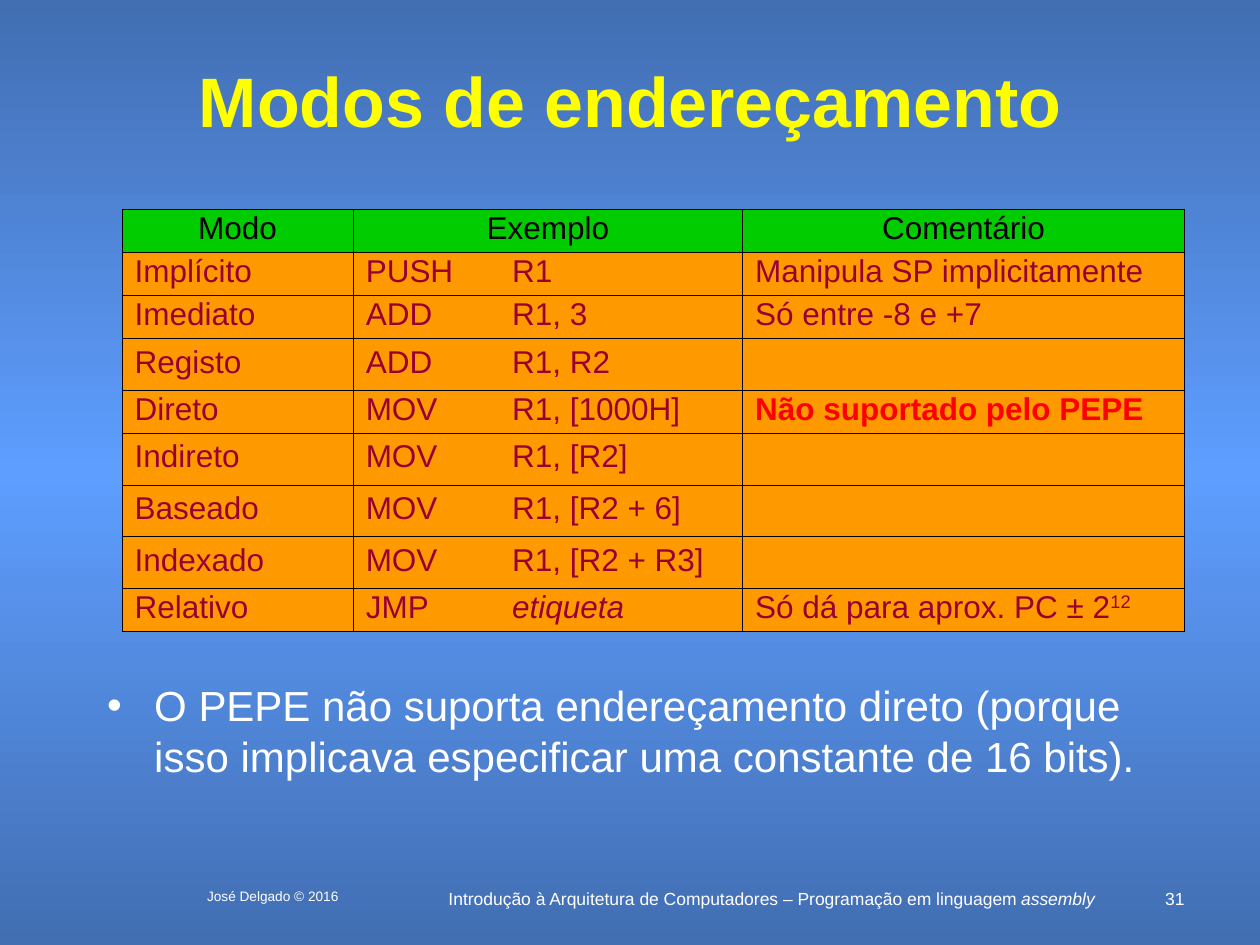
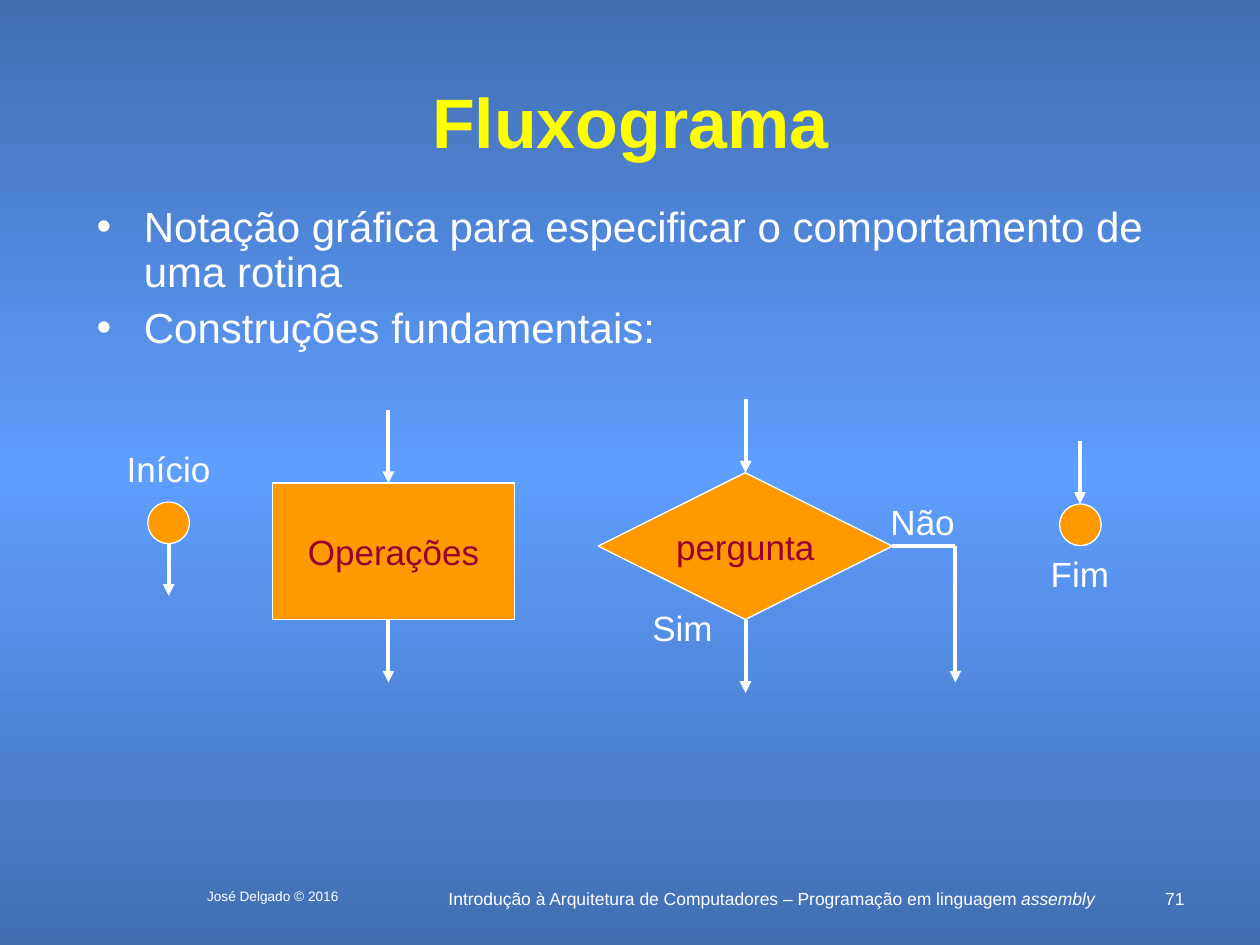
from dataclasses import dataclass
from typing import Optional

from lxml.etree import SubElement
from pptx import Presentation
from pptx.dml.color import RGBColor
from pptx.enum.shapes import MSO_CONNECTOR, MSO_SHAPE
from pptx.enum.text import MSO_ANCHOR, PP_ALIGN
from pptx.oxml.ns import qn
from pptx.slide import Slide
from pptx.util import Cm, Pt

COLORS = {
    "edge": "426EB2",
    "middle": "5E9EFF",
    "title": "FFFF00",
    "white": "FFFFFF",
    "black": "000000",
    "header": "00CC00",
    "orange": "FF9900",
    "wine": "990033",
    "alert": "FF0000",
}
FONT = "Arial"


@dataclass(frozen=True)
class Run:
    text: str
    color: str = "white"
    size: float = 20
    bold: bool = False
    italic: bool = False
    raised: bool = False


@dataclass(frozen=True)
class Box:
    left: float
    top: float
    width: float
    height: float

    def cm(self) -> tuple:
        return Cm(self.left), Cm(self.top), Cm(self.width), Cm(self.height)


@dataclass(frozen=True)
class Node:
    kind: MSO_SHAPE
    box: Box
    text: str = ""


@dataclass(frozen=True)
class Line:
    x1: float
    y1: float
    x2: float
    y2: float
    arrow: bool = True


@dataclass(frozen=True)
class Label:
    text: str
    box: Box


FOOTER_COURSE = Box(8.76, 17.78, 13.59, 0.64)
FOOTER_NUMBER = Box(23.06, 17.78, 1.07, 0.43)
FOOTER_AUTHOR = Box(3.38, 17.78, 4.24, 0.64)

TABLE_BOX = Box(2.46, 4.22, 21.42, 8.51)
COLUMN_WIDTHS = (4.66, 2.95, 4.9, 8.91)
ROW_HEIGHT, EMPTY_ROW_HEIGHT = 0.87, 1.04
HEADINGS = ("Modo", "Exemplo", "", "Comentário")
MODES = (
    ("Implícito", "PUSH", "R1", "Manipula SP implicitamente"),
    ("Imediato", "ADD", "R1, 3", "Só entre -8 e +7"),
    ("Registo", "ADD", "R1, R2", ""),
    ("Direto", "MOV", "R1, [1000H]", "Não suportado pelo PEPE"),
    ("Indireto", "MOV", "R1, [R2]", ""),
    ("Baseado", "MOV", "R1, [R2 + 6]", ""),
    ("Indexado", "MOV", "R1, [R2 + R3]", ""),
    ("Relativo", "JMP", "etiqueta", "Só dá para aprox. PC ± 2"),
)
SPECIAL_CELLS = {
    "etiqueta": [Run("etiqueta", "wine", 18, italic=True)],
    "Não suportado pelo PEPE": [Run("Não suportado pelo PEPE", "alert", 18, bold=True)],
    "Só dá para aprox. PC ± 2": [
        Run("Só dá para aprox. PC ± 2", "wine", 18),
        Run("12", "wine", 18, raised=True),
    ],
}

NODES = (
    Node(MSO_SHAPE.RECTANGLE, Box(5.5, 9.74, 4.87, 2.75), "Operações"),
    Node(MSO_SHAPE.DIAMOND, Box(12.06, 9.53, 5.93, 2.96), "pergunta"),
    Node(MSO_SHAPE.OVAL, Box(2.98, 10.12, 0.84, 0.84)),
    Node(MSO_SHAPE.OVAL, Box(21.36, 10.16, 0.84, 0.84)),
)
LINES = (
    Line(7.83, 8.26, 7.83, 9.74),
    Line(7.83, 12.49, 7.83, 13.76),
    Line(15.03, 8.04, 15.03, 9.53),
    Line(15.03, 12.49, 15.03, 13.97),
    Line(17.99, 11.01, 19.26, 11.01, arrow=False),
    Line(19.26, 11.01, 19.26, 13.76),
    Line(3.4, 10.97, 3.4, 12.01),
    Line(21.77, 8.89, 21.77, 10.16),
)
LABELS = (
    Label("Sim", Box(12.66, 12.1, 2.2, 1.12)),
    Label("Não", Box(17.5, 9.96, 2.2, 1.12)),
    Label("Início", Box(2.1, 8.89, 2.6, 1.12)),
    Label("Fim", Box(20.67, 11.01, 2.2, 1.12)),
)


def rgb(name: str) -> RGBColor:
    return RGBColor.from_string(COLORS[name])


def add_solid(parent, name: str) -> None:
    SubElement(SubElement(parent, qn("a:solidFill")), qn("a:srgbClr"), val=COLORS[name])


def add_runs(p, runs: list[Run]) -> None:
    for run in runs:
        r = p.add_run()
        r.text = run.text
        r.font.name = FONT
        r.font.size = Pt(run.size)
        r.font.bold = run.bold
        r.font.italic = run.italic
        r.font.color.rgb = rgb(run.color)
        if run.raised:
            r.font._element.set("baseline", "30000")


def add_text(s: Slide, box: Box, runs: list[Run], align: PP_ALIGN = PP_ALIGN.CENTER,
             anchor: MSO_ANCHOR = MSO_ANCHOR.TOP, wrap: bool = True) -> None:
    tf = s.shapes.add_textbox(*box.cm()).text_frame
    tf.word_wrap = wrap
    tf.vertical_anchor = anchor
    tf.paragraphs[0].alignment = align
    add_runs(tf.paragraphs[0], runs)


def add_bullets(s: Slide, box: Box, items: list[str], spacing: Optional[float] = None) -> None:
    tf = s.shapes.add_textbox(*box.cm()).text_frame
    tf.word_wrap = True
    for i, item in enumerate(items):
        p = tf.add_paragraph() if i else tf.paragraphs[0]
        p.line_spacing = spacing
        if i:
            p.space_before = Pt(6)
        pPr = p._p.get_or_add_pPr()
        pPr.set("marL", str(Cm(0.95)))
        pPr.set("indent", str(-Cm(0.95)))
        SubElement(SubElement(pPr, qn("a:buClr")), qn("a:srgbClr"), val=COLORS["white"])
        SubElement(pPr, qn("a:buFont"), typeface=FONT)
        SubElement(pPr, qn("a:buChar"), char="•")
        add_runs(p, [Run(item, size=24)])


def set_background(prs) -> None:
    fill = prs.slide_master.background.fill
    fill.gradient()
    grad = prs.slide_master.element.find(".//" + qn("p:bg")).find(".//" + qn("a:gradFill"))
    for child in list(grad):
        grad.remove(child)
    stops = SubElement(grad, qn("a:gsLst"))
    for pos, name in ((0, "edge"), (50000, "middle"), (100000, "edge")):
        SubElement(SubElement(stops, qn("a:gs"), pos=str(pos)), qn("a:srgbClr"), val=COLORS[name])
    SubElement(grad, qn("a:lin"), ang="5400000", scaled="0")


def add_slide(prs, title: str, title_top: float, number: int) -> Slide:
    s = prs.slides.add_slide(prs.slide_layouts[6])
    add_text(s, FOOTER_COURSE, [
        Run("Introdução à Arquitetura de Computadores – Programação em linguagem ", size=10),
        Run("assembly", size=10, italic=True),
    ])
    add_text(s, FOOTER_NUMBER, [Run(str(number), size=10)], PP_ALIGN.RIGHT)
    add_text(s, FOOTER_AUTHOR, [Run("José Delgado © 2016", size=7.8)])
    add_text(s, Box(1.7, title_top, 22.01, 1.91), [Run(title, "title", 40, bold=True)],
             anchor=MSO_ANCHOR.MIDDLE)
    return s


def set_borders(cell, hidden: str) -> None:
    tcPr = cell._tc.get_or_add_tcPr()
    for side in "LRTB":
        ln = SubElement(tcPr, qn(f"a:ln{side}"), w=str(Pt(0.45)))
        if side == hidden:
            SubElement(ln, qn("a:noFill"))
        else:
            add_solid(ln, "black")


def add_modes_table(s: Slide) -> None:
    rows = (HEADINGS,) + MODES
    table = s.shapes.add_table(len(rows), len(HEADINGS), *TABLE_BOX.cm()).table
    table.first_row = table.horz_banding = False
    for column, width in zip(table.columns, COLUMN_WIDTHS):
        column.width = Cm(width)
    for i, values in enumerate(rows):
        table.rows[i].height = Cm(ROW_HEIGHT if values[-1] else EMPTY_ROW_HEIGHT)
        for j, value in enumerate(values):
            cell = table.cell(i, j)
            set_borders(cell, {1: "R", 2: "L"}.get(j, "") if i else "")
            cell.fill.solid()
            cell.fill.fore_color.rgb = rgb("orange" if i else "header")
            cell.vertical_anchor = MSO_ANCHOR.MIDDLE
            if value:
                p = cell.text_frame.paragraphs[0]
                p.alignment = PP_ALIGN.LEFT if i else PP_ALIGN.CENTER
                p.line_spacing = 0.8
                plain = [Run(value, "wine" if i else "black", 18)]
                add_runs(p, SPECIAL_CELLS.get(value, plain))
    table.cell(0, 1).merge(table.cell(0, 2))


def add_node(s: Slide, node: Node) -> None:
    sp = s.shapes.add_shape(node.kind, *node.box.cm())
    sp.shadow.inherit = False
    sp.fill.solid()
    sp.fill.fore_color.rgb = rgb("orange")
    sp.line.color.rgb = rgb("white")
    sp.line.width = Pt(0.75)
    if node.text:
        tf = sp.text_frame
        tf.word_wrap = False
        tf.vertical_anchor = MSO_ANCHOR.MIDDLE
        tf.paragraphs[0].alignment = PP_ALIGN.CENTER
        add_runs(tf.paragraphs[0], [Run(node.text, "wine")])


def add_line(s: Slide, line: Line) -> None:
    c = s.shapes.add_connector(MSO_CONNECTOR.STRAIGHT, Cm(line.x1), Cm(line.y1),
                               Cm(line.x2), Cm(line.y2))
    c.line.color.rgb = rgb("white")
    c.line.width = Pt(2.25)
    spPr = c._element.spPr
    if line.arrow:
        SubElement(spPr.find(qn("a:ln")), qn("a:tailEnd"), type="triangle")
    SubElement(spPr, qn("a:effectLst"))


def build_modes(prs) -> None:
    s = add_slide(prs, "Modos de endereçamento", 1.06, 31)
    add_modes_table(s)
    add_bullets(s, Box(1.91, 13.58, 22.23, 2.74), [
        "O PEPE não suporta endereçamento direto (porque isso implicava "
        "especificar uma constante de 16 bits).",
    ])


def build_flowchart(prs) -> None:
    s = add_slide(prs, "Fluxograma", 1.47, 71)
    add_bullets(s, Box(1.7, 4.03, 22.23, 3.38), [
        "Notação gráfica para especificar o comportamento de uma rotina",
        "Construções fundamentais:",
    ], 0.9)
    for node in NODES:
        add_node(s, node)
    for line in LINES:
        add_line(s, line)
    for label in LABELS:
        add_text(s, label.box, [Run(label.text)], wrap=False)


def main() -> None:
    prs = Presentation()
    prs.slide_width, prs.slide_height = Cm(25.4), Cm(19.05)
    set_background(prs)
    build_modes(prs)
    build_flowchart(prs)
    prs.save("out.pptx")


if __name__ == "__main__":
    main()
